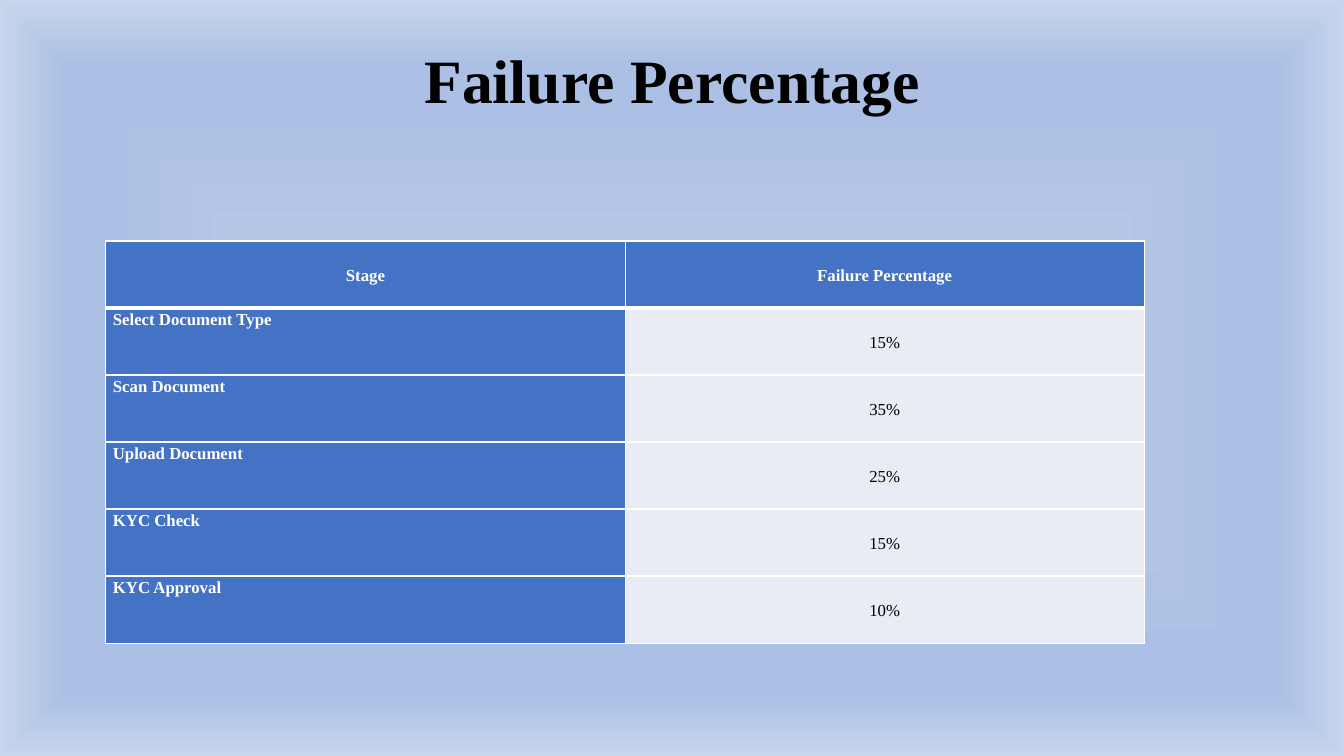
import pptx
import pptx.util
import pptx.dml.color
import pptx.enum.text
import pptx.oxml
import pptx.oxml.ns

Inches, Pt = pptx.util.Inches, pptx.util.Pt
ALIGN, ANCHOR = pptx.enum.text.PP_ALIGN, pptx.enum.text.MSO_ANCHOR

# Content
HEADING = "Failure Percentage"
STAGE_FAILURES = [
    ("Stage", "Failure Percentage"),
    ("Select Document Type", "15%"),
    ("Scan Document", "35%"),
    ("Upload Document", "25%"),
    ("KYC Check", "15%"),
    ("KYC Approval", "10%"),
]
COLORS = {"black": "000000", "white": "FFFFFF", "blue": "4472C4", "pale": "E9EBF5"}
BACKDROP_STOPS = [(0, "F6F8FC"), (36, "B4C7E7"), (74, "ABC0E4"),
                  (83, "ABC0E4"), (100, "C7D5ED")]
FONT = "Times New Roman"
TABLE_LEFT, TABLE_TOP, TABLE_WIDTH, TABLE_HEIGHT = 1.05, 2.39, 10.3, 3.99


def write(frame, text, size=12, color="black", bold=False, align=ALIGN.CENTER, spacing=1.15):
    frame.text = text
    paragraph = frame.paragraphs[0]
    paragraph.alignment = align
    paragraph.line_spacing = spacing
    font = paragraph.runs[0].font
    font.name, font.size, font.bold = FONT, Pt(size), bold
    font.color.rgb = pptx.dml.color.RGBColor.from_string(COLORS[color])


def paint_backdrop(slide):
    slide.background.fill.gradient()
    gradient = slide.element.find(".//" + pptx.oxml.ns.qn("a:gradFill"))
    stops = "".join(f'<a:gs pos="{position * 1000}"><a:srgbClr val="{color}"/></a:gs>'
                    for position, color in BACKDROP_STOPS)
    rectangular = pptx.oxml.parse_xml(
        f'<a:gradFill {pptx.oxml.ns.nsdecls("a")} rotWithShape="1"><a:gsLst>{stops}</a:gsLst>'
        '<a:path path="shape"><a:fillToRect l="50000" t="50000" r="50000" b="50000"/>'
        '</a:path></a:gradFill>')
    gradient.getparent().replace(gradient, rectangular)


def add_borders(cell, top=1, bottom=1):
    properties = cell._tc.get_or_add_tcPr()
    for side, width in (("L", 1), ("R", 1), ("T", top), ("B", bottom)):
        properties.append(pptx.oxml.parse_xml(
            f'<a:ln{side} {pptx.oxml.ns.nsdecls("a")} w="{Pt(width)}"><a:solidFill>'
            f'<a:srgbClr val="{COLORS["white"]}"/></a:solidFill></a:ln{side}>'))


deck = pptx.Presentation()
deck.slide_width, deck.slide_height = Inches(13.33), Inches(7.5)
slide = deck.slides.add_slide(deck.slide_layouts[5])
paint_backdrop(slide)

# Title
title = slide.shapes.title
title.left, title.top = Inches(0.92), Inches(0.4)
title.width, title.height = Inches(11.5), Inches(1.45)
title.text_frame.vertical_anchor = ANCHOR.TOP
title.text_frame.margin_top = Inches(0.1)
write(title.text_frame, HEADING, size=44, bold=True, spacing=0.9)

# Failure table
failures = slide.shapes.add_table(
    len(STAGE_FAILURES), 2, Inches(TABLE_LEFT), Inches(TABLE_TOP),
    Inches(TABLE_WIDTH), Inches(TABLE_HEIGHT)).table
failures.horz_banding = False
for row, texts in enumerate(STAGE_FAILURES):
    failures.rows[row].height = Inches(TABLE_HEIGHT / len(STAGE_FAILURES))
    for column, text in enumerate(texts):
        cell = failures.cell(row, column)
        is_header = row == 0
        is_stage = column == 0 and not is_header
        is_value = column == 1 and not is_header
        cell.margin_left = cell.margin_right = Inches(0.07)
        cell.margin_top = cell.margin_bottom = 0
        cell.vertical_anchor = ANCHOR.TOP if is_stage else ANCHOR.MIDDLE
        add_borders(cell, top=3 if row == 1 else 1, bottom=3 if is_header else 1)
        cell.fill.solid()
        cell.fill.fore_color.rgb = pptx.dml.color.RGBColor.from_string(
            COLORS["pale" if is_value else "blue"])
        write(cell.text_frame, text, color="black" if is_value else "white",
              bold=not is_value, align=ALIGN.LEFT if is_stage else ALIGN.CENTER)

deck.save("out.pptx")
